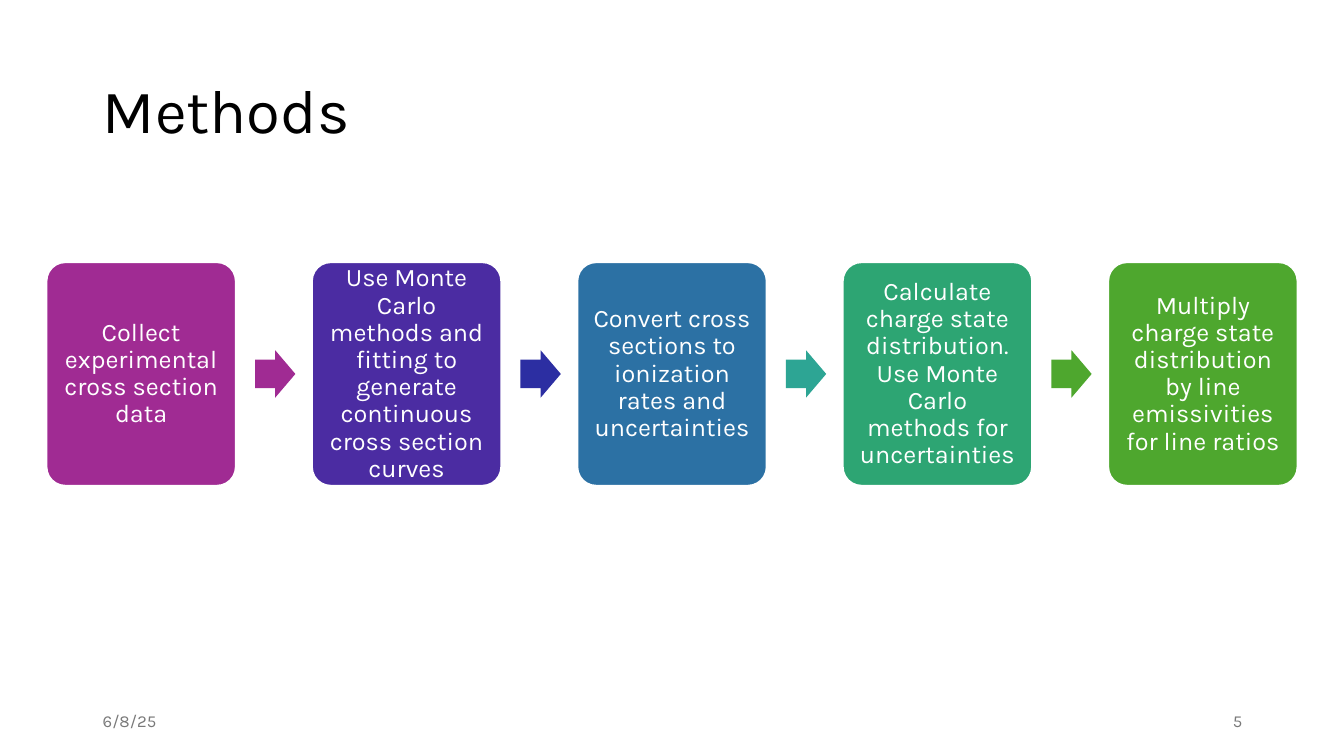
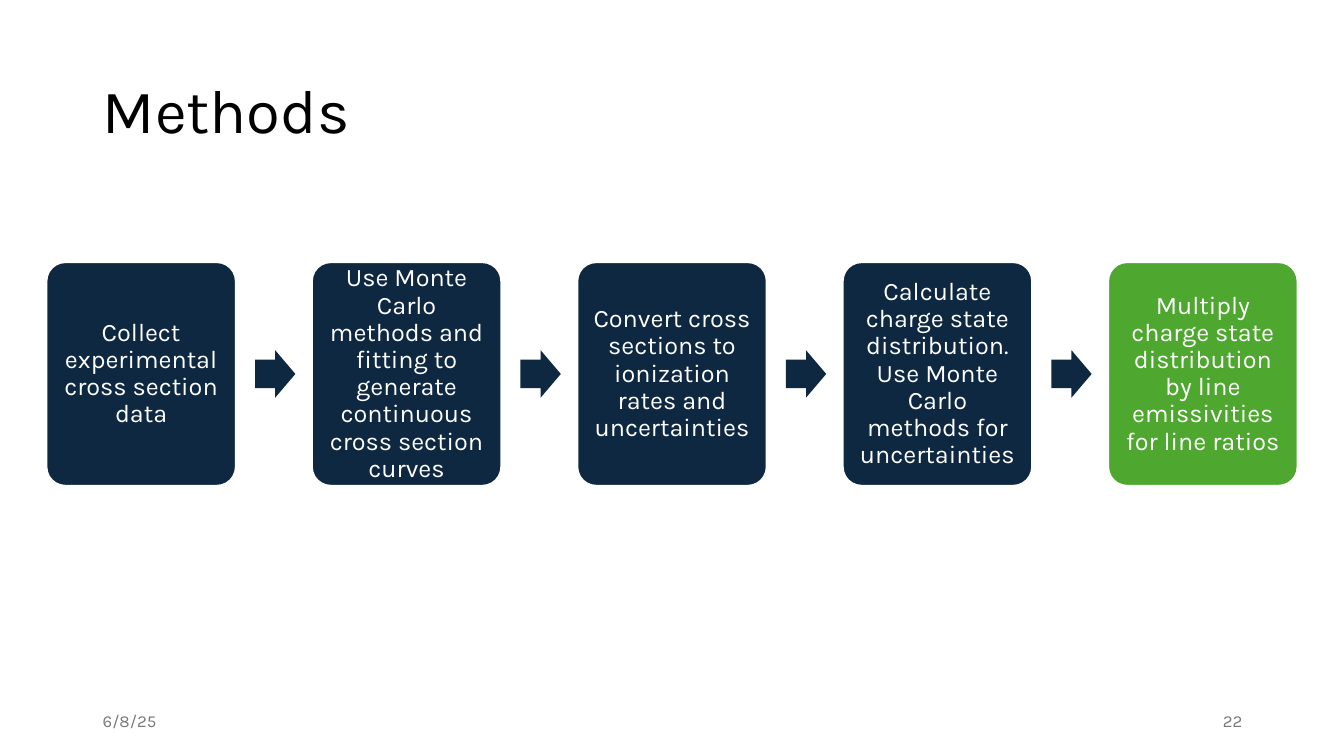
import dataclasses
import typing

import pptx
import pptx.dml.color
import pptx.enum.shapes
import pptx.enum.text
import pptx.presentation
import pptx.shapes.autoshape
import pptx.slide
import pptx.text.text
import pptx.util

Align = pptx.enum.text.PP_ALIGN
Anchor = pptx.enum.text.MSO_ANCHOR
Preset = pptx.enum.shapes.MSO_SHAPE

EMU_PER_PX = 9144  # 100 px to the inch
TITLE_ONLY_LAYOUT = 5


@dataclasses.dataclass(frozen=True)
class Theme:
    font: str = "Karla"
    title_size: int = 44
    step_size: int = 18
    footer_size: int = 12
    black: str = "000000"
    white: str = "FFFFFF"
    gray: str = "797979"
    navy: str = "0E2841"
    magenta: str = "A02B93"
    violet: str = "4B2CA2"
    indigo: str = "2C2EA2"
    blue: str = "2C71A4"
    teal: str = "2DA594"
    emerald: str = "2DA573"
    green: str = "4EA72E"


class Box(typing.NamedTuple):
    left: float
    top: float
    width: float
    height: float

    def emu(self) -> list[pptx.util.Emu]:
        return [px(length) for length in self]


class MethodsPage(typing.NamedTuple):
    number: str
    step_colors: tuple[str, ...]
    arrow_colors: tuple[str, ...]


THEME = Theme()
TITLE = "Methods"
DATE = "6/8/25"
STEPS = (
    "Collect experimental cross section data",
    "Use Monte Carlo methods and fitting to generate continuous cross section curves",
    "Convert cross sections to ionization rates and uncertainties",
    "Calculate charge state distribution. Use Monte Carlo methods for uncertainties",
    "Multiply charge state distribution by line emissivities for line ratios",
)
PAGES = (
    MethodsPage(
        "5",
        (THEME.magenta, THEME.violet, THEME.blue, THEME.emerald, THEME.green),
        (THEME.magenta, THEME.indigo, THEME.teal, THEME.green),
    ),
    MethodsPage("22", (THEME.navy,) * 4 + (THEME.green,), (THEME.navy,) * 4),
)

# Places, in px
PAGE_WIDTH, PAGE_HEIGHT = 1333, 750
TITLE_BOX = Box(92, 40, 1150, 145)
DATE_BOX = Box(92, 695, 300, 40)
NUMBER_BOX = Box(942, 695, 300, 40)
FLOW = Box(46, 260, 1241, 222)
STEP_WIDTH = 188
STEP_INSET = 7
STEP_PITCH = (FLOW.width - STEP_WIDTH) / (len(STEPS) - 1)
ARROW_OFFSET, ARROW_WIDTH, ARROW_HEIGHT = 207, 40, 47


def px(length: float) -> pptx.util.Emu:
    return pptx.util.Emu(round(length * EMU_PER_PX))


def rgb(color: str) -> pptx.dml.color.RGBColor:
    return pptx.dml.color.RGBColor.from_string(color)


def write(frame: pptx.text.text.TextFrame, text: str, size: int, color: str,
          align: Align, line_spacing: float = 1.0) -> None:
    """Put one formatted run in a wrapped, vertically centred frame."""
    frame.word_wrap = True
    frame.auto_size = pptx.enum.text.MSO_AUTO_SIZE.NONE
    frame.vertical_anchor = Anchor.MIDDLE
    para = frame.paragraphs[0]
    para.alignment = align
    para.line_spacing = line_spacing
    span = para.add_run()
    span.text = text
    span.font.name = THEME.font
    span.font.size = pptx.util.Pt(size)
    span.font.color.rgb = rgb(color)


def add_preset(page: pptx.slide.Slide, preset: Preset, box: Box, color: str,
               adjustments: tuple[float, ...]) -> pptx.shapes.autoshape.Shape:
    shape = page.shapes.add_shape(preset, *box.emu())
    shape.shadow.inherit = False
    shape.fill.solid()
    shape.fill.fore_color.rgb = rgb(color)
    shape.line.fill.background()
    for index, value in enumerate(adjustments):
        shape.adjustments[index] = value
    return shape


def add_step(page: pptx.slide.Slide, left: float, text: str, color: str) -> None:
    box = Box(left, FLOW.top, STEP_WIDTH, FLOW.height)
    card = add_preset(page, Preset.ROUNDED_RECTANGLE, box, color, (0.1,))
    card.line.color.rgb = rgb(THEME.white)
    card.line.width = pptx.util.Pt(1.5)
    frame = card.text_frame
    frame.margin_left = frame.margin_right = px(STEP_INSET)
    frame.margin_top = frame.margin_bottom = px(STEP_INSET)
    write(frame, text, THEME.step_size, THEME.white, Align.CENTER, 0.9)


def add_arrow(page: pptx.slide.Slide, step_left: float, color: str) -> None:
    top = FLOW.top + (FLOW.height - ARROW_HEIGHT) / 2
    box = Box(step_left + ARROW_OFFSET, top, ARROW_WIDTH, ARROW_HEIGHT)
    add_preset(page, Preset.RIGHT_ARROW, box, color, (0.6, 0.5))


def add_footer(page: pptx.slide.Slide, box: Box, text: str, align: Align) -> None:
    footer = page.shapes.add_textbox(*box.emu())
    write(footer.text_frame, text, THEME.footer_size, THEME.gray, align)


def add_methods_page(deck: pptx.presentation.Presentation, content: MethodsPage) -> None:
    page = deck.slides.add_slide(deck.slide_layouts[TITLE_ONLY_LAYOUT])

    # Title
    title = page.shapes.title
    title.left, title.top, title.width, title.height = TITLE_BOX.emu()
    write(title.text_frame, TITLE, THEME.title_size, THEME.black, Align.LEFT, 0.9)

    # Process steps and the arrows between them
    lefts = [FLOW.left + index * STEP_PITCH for index in range(len(STEPS))]
    for left, text, color in zip(lefts, STEPS, content.step_colors):
        add_step(page, left, text, color)
    for left, color in zip(lefts, content.arrow_colors):
        add_arrow(page, left, color)

    # Footer
    add_footer(page, DATE_BOX, DATE, Align.LEFT)
    add_footer(page, NUMBER_BOX, content.number, Align.RIGHT)


def main() -> None:
    deck = pptx.Presentation()
    deck.slide_width, deck.slide_height = px(PAGE_WIDTH), px(PAGE_HEIGHT)
    for content in PAGES:
        add_methods_page(deck, content)
    deck.save("out.pptx")


if __name__ == "__main__":
    main()
